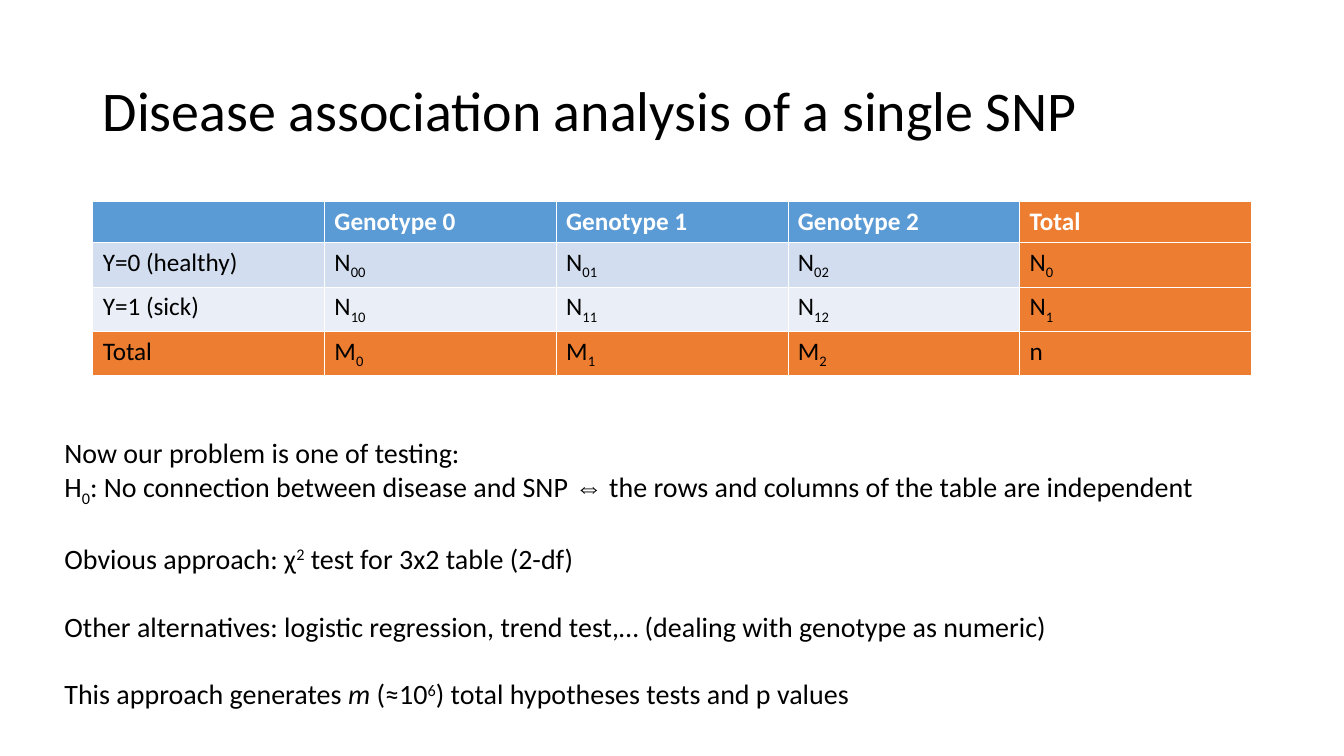
from dataclasses import dataclass

from lxml import etree
from pptx import Presentation
from pptx.dml.color import RGBColor
from pptx.enum.text import MSO_ANCHOR, MSO_AUTO_SIZE, PP_ALIGN
from pptx.oxml.ns import qn
from pptx.slide import Slide
from pptx.table import _Cell
from pptx.util import Inches, Length, Pt

LEFT = PP_ALIGN.LEFT
MIDDLE = MSO_ANCHOR.MIDDLE
NO_AUTOFIT = MSO_AUTO_SIZE.NONE

SLIDE_WIDTH, SLIDE_HEIGHT = 13.34, 7.5
GRID_COLUMNS, GRID_ROWS = 58, 75
TITLE_ONLY = 5
BODY_FONT, SYMBOL_FONT = "Calibri", "Arial"
SUBSCRIPT, SUPERSCRIPT = -25, 30
THIN, THICK = 0.45, 1.47
COLORS = {
    "text": "000000",
    "white": "FFFFFF",
    "header": "5B9BD5",
    "healthy": "D2DEEF",
    "sick": "EAEFF7",
    "total": "ED7D31",
}


@dataclass(frozen=True)
class Piece:
    text: str
    baseline: int = 0
    italic: bool = False
    font: str = BODY_FONT


@dataclass(frozen=True)
class Statement:
    pieces: tuple[Piece, ...]
    space_before: float = 0


@dataclass(frozen=True)
class TableRow:
    cells: tuple[tuple[Piece, ...], ...]
    fill: str
    height: float


def across(columns: float) -> Length:
    return Inches(SLIDE_WIDTH * columns / GRID_COLUMNS)


def down(rows: float) -> Length:
    return Inches(SLIDE_HEIGHT * rows / GRID_ROWS)


def label(text: str) -> tuple[Piece, ...]:
    return (Piece(text),)


def count(letter: str, index: str) -> tuple[Piece, ...]:
    return Piece(letter), Piece(index, SUBSCRIPT)


def genotype_counts(group: int) -> tuple[tuple[Piece, ...], ...]:
    """Counts of one group by genotype, followed by the group's total."""
    by_genotype = tuple(count("N", f"{group}{genotype}") for genotype in range(3))
    return by_genotype + (count("N", str(group)),)


TABLE_ROWS = (
    TableRow((label(""), *(label(f"Genotype {g}") for g in range(3)), label("Total")),
             "header", 4),
    TableRow((label("Y=0 (healthy)"), *genotype_counts(0)), "healthy", 4.4),
    TableRow((label("Y=1 (sick)"), *genotype_counts(1)), "sick", 4.4),
    TableRow((label("Total"), *(count("M", str(g)) for g in range(3)), label("n")),
             "total", 4.4),
)

STATEMENTS = (
    Statement(label("Now our problem is one of testing:")),
    Statement((
        Piece("H"),
        Piece("0", SUBSCRIPT),
        Piece(": No connection between disease and SNP "),
        Piece("⇔", font=SYMBOL_FONT),
        Piece(" the rows and columns of the table are independent"),
    )),
    Statement((
        Piece("Obvious approach: χ"),
        Piece("2", SUPERSCRIPT),
        Piece(" test for 3x2 table (2-df)"),
    ), 24.4),
    Statement(label("Other alternatives: logistic regression, trend test,… "
                    "(dealing with genotype as numeric)"), 24.4),
    Statement((
        Piece("This approach generates "),
        Piece("m", italic=True),
        Piece(" (≈10"),
        Piece("6", SUPERSCRIPT),
        Piece(") total hypotheses tests and p values"),
    ), 24.4),
)


def write_pieces(paragraph, pieces: tuple[Piece, ...], size: float,
                 color: str = "text", bold: bool = False) -> None:
    paragraph.font.size = Pt(size)
    for piece in pieces:
        if not piece.text:
            continue
        run = paragraph.add_run()
        run.text = piece.text
        run.font.name = piece.font
        run.font.size = Pt(size)
        run.font.bold = bold
        run.font.italic = piece.italic
        run.font.color.rgb = RGBColor.from_string(COLORS[color])
        if piece.baseline:
            run._r.get_or_add_rPr().set("baseline", str(piece.baseline * 1000))


def add_borders(cell: _Cell, top: float, bottom: float) -> None:
    properties = cell._tc.get_or_add_tcPr()
    for side, width in (("L", THIN), ("R", THIN), ("T", top), ("B", bottom)):
        border = etree.SubElement(properties, qn(f"a:ln{side}"), w=str(Pt(width)))
        fill = etree.SubElement(border, qn("a:solidFill"))
        etree.SubElement(fill, qn("a:srgbClr"), val=COLORS["white"])


def add_title(slide: Slide) -> None:
    title = slide.shapes.title
    title.left, title.top = across(4), down(4)
    title.width, title.height = across(50), down(14.5)
    frame = title.text_frame
    frame.text = "Disease association analysis of a single SNP"
    frame.auto_size = NO_AUTOFIT
    frame.vertical_anchor = MIDDLE
    heading = frame.paragraphs[0]
    heading.alignment = LEFT
    heading.line_spacing = 0.9
    font = heading.runs[0].font
    font.name, font.size = BODY_FONT, Pt(40)
    font.color.rgb = RGBColor.from_string(COLORS["text"])


def add_genotype_table(slide: Slide) -> None:
    column_count = len(TABLE_ROWS[0].cells)
    table = slide.shapes.add_table(
        len(TABLE_ROWS), column_count, across(4), down(20), across(50),
        down(sum(row.height for row in TABLE_ROWS))).table
    table.first_row = table.horz_banding = False
    for column in table.columns:
        column.width = across(50 / column_count)
    for r, row in enumerate(TABLE_ROWS):
        table.rows[r].height = down(row.height)
        is_header = r == 0
        for c, pieces in enumerate(row.cells):
            cell = table.cell(r, c)
            add_borders(cell, top=THICK if r == 1 else THIN,
                        bottom=THICK if is_header else THIN)
            fill = "total" if c == column_count - 1 else row.fill
            cell.fill.solid()
            cell.fill.fore_color.rgb = RGBColor.from_string(COLORS[fill])
            write_pieces(cell.text_frame.paragraphs[0], pieces, 18,
                         "white" if is_header else "text", is_header)


def add_statements(slide: Slide) -> None:
    frame = slide.shapes.add_textbox(
        across(2.35), down(42.7), across(53.6), down(31.5)).text_frame
    frame.word_wrap = True
    for i, statement in enumerate(STATEMENTS):
        paragraph = frame.add_paragraph() if i else frame.paragraphs[0]
        if statement.space_before:
            paragraph.space_before = Pt(statement.space_before)
        write_pieces(paragraph, statement.pieces, 20)


def main() -> None:
    presentation = Presentation()
    presentation.slide_width = Inches(SLIDE_WIDTH)
    presentation.slide_height = Inches(SLIDE_HEIGHT)
    slide = presentation.slides.add_slide(presentation.slide_layouts[TITLE_ONLY])
    add_title(slide)
    add_genotype_table(slide)
    add_statements(slide)
    presentation.save("out.pptx")


if __name__ == "__main__":
    main()
